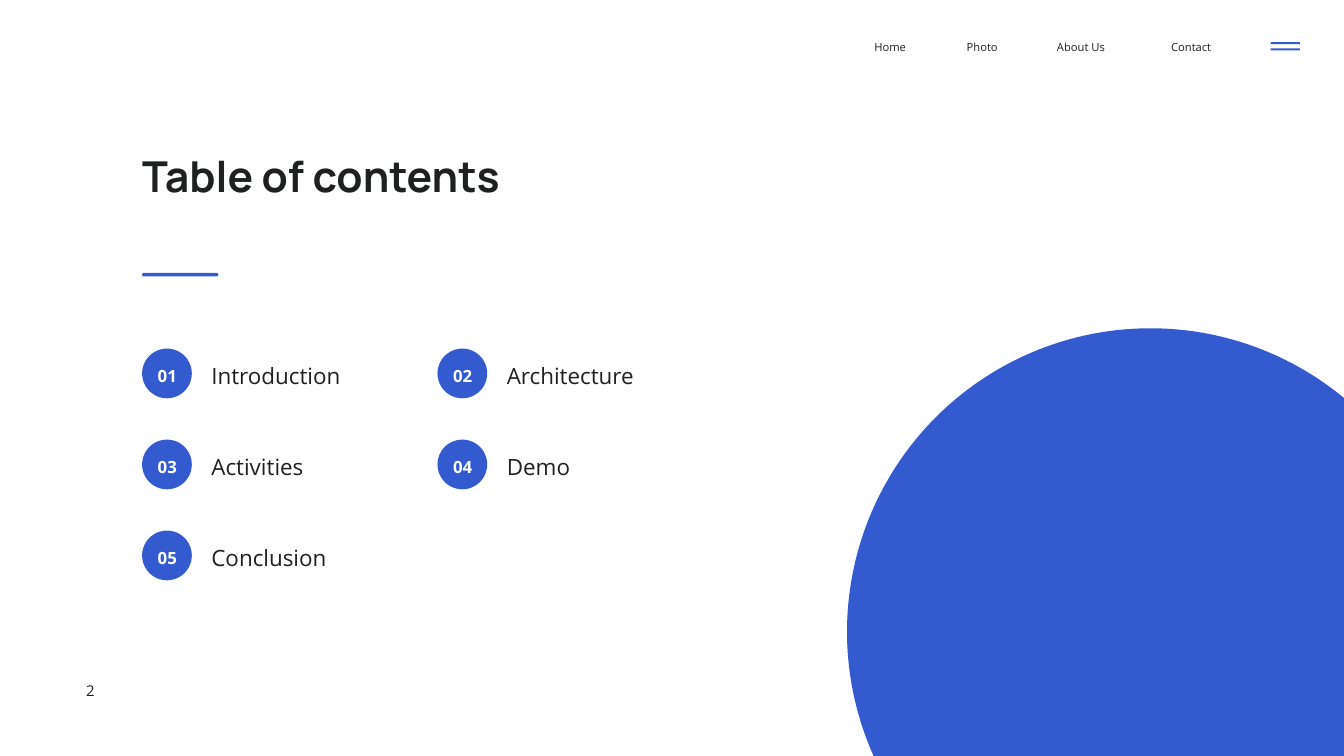
from pptx import Presentation
from pptx.dml.color import RGBColor
from pptx.enum.shapes import MSO_SHAPE
from pptx.enum.text import PP_ALIGN
from pptx.util import Emu, Pt

PX = 9525
BLUE = RGBColor(0x33, 0x5A, 0xCF)
INK = RGBColor(0x1F, 0x20, 0x20)
WHITE = RGBColor(0xFF, 0xFF, 0xFF)
BODY_FONT = "Open Sans"
TITLE_FONT = "Manrope"

NAV_ITEMS = [("Contact", 1673, 103), ("About Us", 1510, 111),
             ("Photo", 1381, 77), ("Home", 1249, 85)]
CHAPTERS = ["Introduction", "Architecture", "Activities", "Demo", "Conclusion"]
COLUMNS = 2
CHAPTER_LEFT, CHAPTER_TOP = 203, 498
COLUMN_PITCH, ROW_PITCH = 422, 130
BADGE_SIZE = 71


def px(length):
    """Turn a length in px into EMU."""
    return Emu(length * PX)


def add_blue_shape(slide, preset, left, top, width, height):
    """Add a plain blue preset shape without outline or shadow."""
    shape = slide.shapes.add_shape(preset, px(left), px(top), px(width), px(height))
    shape.shadow.inherit = False
    shape.fill.solid()
    shape.fill.fore_color.rgb = BLUE
    shape.line.fill.background()
    return shape


def add_label(slide, text, left, top, width, height, size, leading,
              color=INK, font=BODY_FONT, bold=False, align=PP_ALIGN.LEFT):
    """Add a one-line text box without margins."""
    label = slide.shapes.add_textbox(px(left), px(top), px(width), px(height))
    frame = label.text_frame
    frame.word_wrap = True
    frame.margin_left = frame.margin_top = frame.margin_right = frame.margin_bottom = 0
    frame.text = text
    paragraph = frame.paragraphs[0]
    paragraph.alignment = align
    paragraph.line_spacing = Pt(leading)
    run_font = paragraph.runs[0].font
    run_font.name = font
    run_font.size = Pt(size)
    run_font.bold = bold
    run_font.color.rgb = color


def add_navigation(slide):
    """Add the menu icon and the navigation words."""
    for bar_top in (60, 69):
        add_blue_shape(slide, MSO_SHAPE.RECTANGLE, 1815, bar_top, 42, 3)
    for name, left, width in NAV_ITEMS:
        add_label(slide, name, left, 55, width, 21, 12, 16.8)


def add_heading(slide):
    """Add the title and the rounded rule below it."""
    rule = add_blue_shape(slide, MSO_SHAPE.ROUNDED_RECTANGLE, CHAPTER_LEFT, 390, 109, 5)
    rule.adjustments[0] = 0.5
    add_label(slide, "Table of contents", CHAPTER_LEFT, 216, 523, 148, 45.6, 53.4,
              font=TITLE_FONT, bold=True)


def add_chapter(slide, index, name):
    """Add a numbered badge and the chapter name in its grid cell."""
    row, column = divmod(index, COLUMNS)
    left = CHAPTER_LEFT + column * COLUMN_PITCH
    top = CHAPTER_TOP + row * ROW_PITCH
    add_blue_shape(slide, MSO_SHAPE.OVAL, left, top, BADGE_SIZE, BADGE_SIZE)
    add_label(slide, name, left + 99, top + 13, 235, 41, 24, 33.6)
    add_label(slide, f"{index + 1:02}", left + 10, top + 19, 52, 32, 18, 25.2,
              color=WHITE, bold=True, align=PP_ALIGN.CENTER)


def main():
    """Build the contents slide and save it."""
    presentation = Presentation()
    presentation.slide_width = px(1920)
    presentation.slide_height = px(1080)
    slide = presentation.slides.add_slide(presentation.slide_layouts[6])
    slide.background.fill.solid()
    slide.background.fill.fore_color.rgb = WHITE

    add_blue_shape(slide, MSO_SHAPE.OVAL, 1210, 469, 867, 867)
    add_navigation(slide)
    add_heading(slide)
    for index, name in enumerate(CHAPTERS):
        add_chapter(slide, index, name)
    add_label(slide, "2", 123, 969, 162, 28, 16, 22.4)

    presentation.save("out.pptx")


if __name__ == "__main__":
    main()
